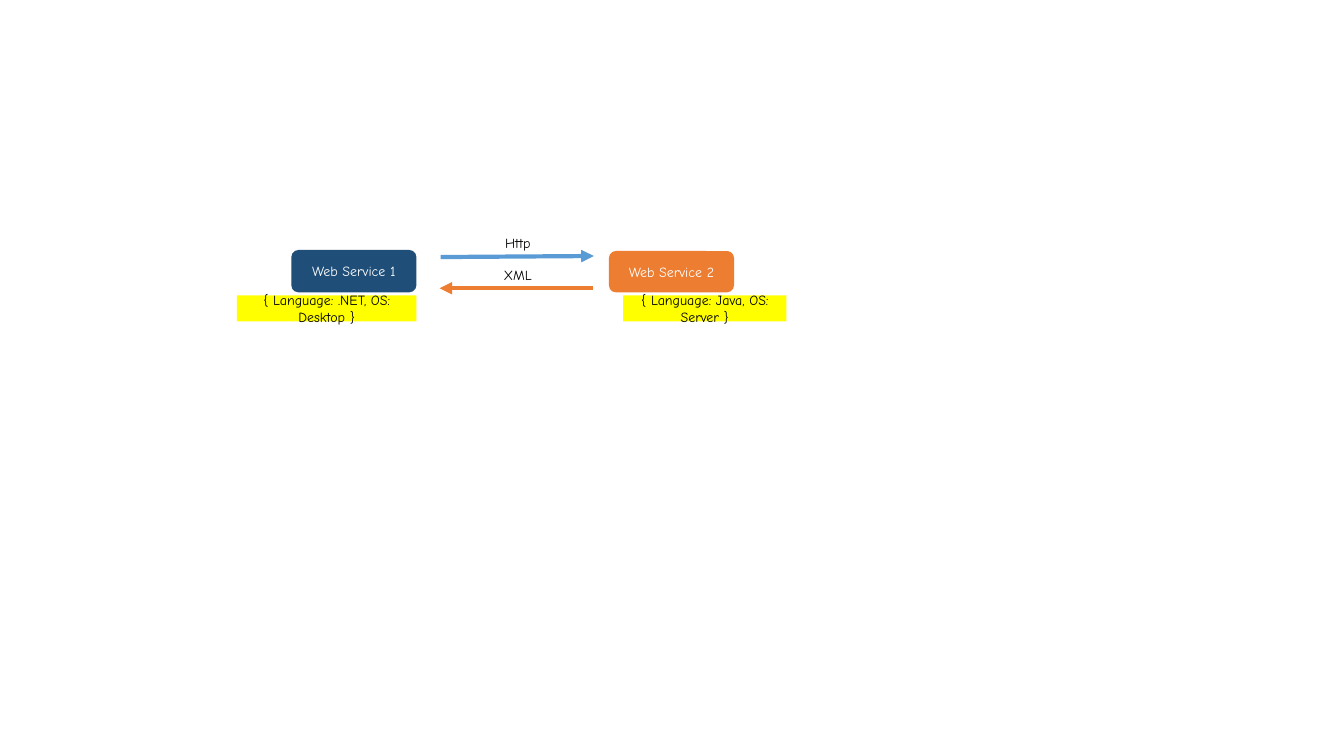
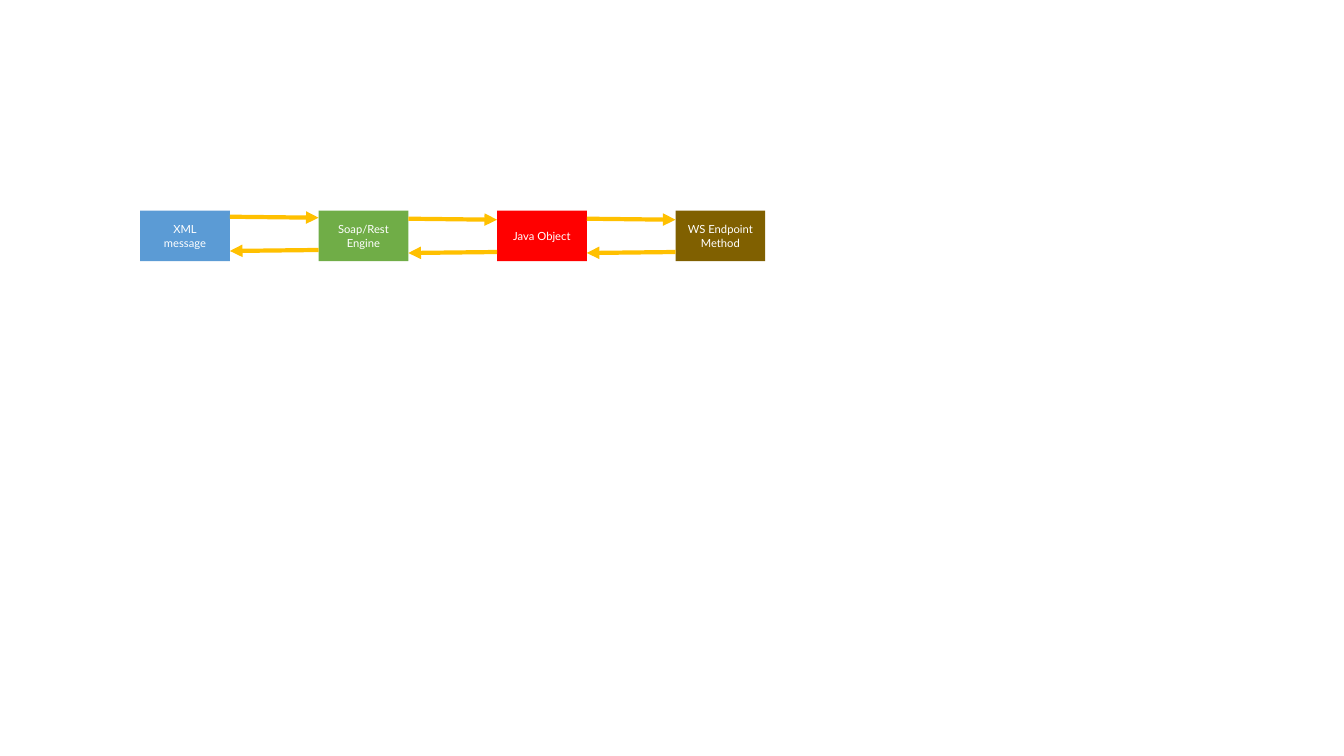
from lxml import etree
from pptx import Presentation
from pptx.dml.color import RGBColor
from pptx.enum.shapes import MSO_CONNECTOR as Connector, MSO_SHAPE as Shape
from pptx.enum.text import MSO_ANCHOR as Anchor, PP_ALIGN as Align
from pptx.oxml.ns import qn
from pptx.util import Inches, Pt

BLACK, WHITE = "000000", "FFFFFF"
BLUE, NAVY, ORANGE = "5B9BD5", "1F4E79", "ED7D31"
YELLOW, AMBER = "FFFF00", "FFC000"
GREEN, RED, BROWN = "70AD47", "FF0000", "806000"


def rgb(value):
    return RGBColor.from_string(value)


class Diagram:
    """Draws on the current slide in that slide's font and text size."""

    def __init__(self, deck):
        self.deck = deck

    def new_slide(self, font, size):
        self.slide = self.deck.slides.add_slide(self.deck.slide_layouts[6])
        self.font, self.size = font, size

    def set_text(self, holder, text, color, anchor):
        frame = holder.text_frame
        frame.text = text
        frame.word_wrap = True
        frame.vertical_anchor = anchor
        for paragraph in frame.paragraphs:
            paragraph.alignment = Align.CENTER
            for run in paragraph.runs:
                run.font.name = self.font
                run.font.size = Pt(self.size)
                run.font.color.rgb = rgb(color)

    def box(self, bounds, text, fill, color=WHITE, kind=Shape.RECTANGLE):
        box = self.slide.shapes.add_shape(kind, *map(Inches, bounds))
        box.shadow.inherit = False
        box.fill.solid()
        box.fill.fore_color.rgb = rgb(fill)
        box.line.fill.background()
        self.set_text(box, text, color, Anchor.MIDDLE)

    def label(self, bounds, text):
        label = self.slide.shapes.add_textbox(*map(Inches, bounds))
        self.set_text(label, text, BLACK, Anchor.TOP)

    def arrow(self, start, end, color):
        arrow = self.slide.shapes.add_connector(
            Connector.STRAIGHT, *map(Inches, (*start, *end)))
        arrow.line.color.rgb = rgb(color)
        arrow.line.width = Pt(3)
        properties = arrow._element.spPr
        etree.SubElement(properties.get_or_add_ln(), qn("a:tailEnd"),
                         type="triangle")
        etree.SubElement(properties, qn("a:effectLst"))


def web_services(diagram):
    diagram.new_slide("Comic Neue", 10)

    # The two services
    diagram.box((2.89, 2.48, 1.24, 0.42), "Web Service 1", NAVY,
                kind=Shape.ROUNDED_RECTANGLE)
    diagram.box((6.04, 2.49, 1.24, 0.41), "Web Service 2", ORANGE,
                kind=Shape.ROUNDED_RECTANGLE)

    # Messages between them
    for start, end, color, label_top, protocol in (
            ((4.37, 2.55), (5.89, 2.54), BLUE, 2.28, "Http"),
            ((5.88, 2.86), (4.36, 2.86), ORANGE, 2.59, "XML")):
        diagram.arrow(start, end, color)
        diagram.label((4.66, label_top, 0.95, 0.26), protocol)

    # Platform of each service
    for left, width, platform in (
            (6.18, 1.62, "{ Language: Java, OS: Server }"),
            (2.35, 1.78, "{ Language: .NET, OS: Desktop }")):
        diagram.box((left, 2.93, width, 0.26), platform, YELLOW, BLACK)


def message_flow(diagram):
    diagram.new_slide("Lato", 8)
    left, top, width, height, step = 1.39, 2.09, 0.89, 0.5, 1.77

    # Processing stages
    stages = (("XML\nmessage", BLUE), ("Soap/Rest\nEngine", GREEN),
              ("Java Object", RED), ("WS Endpoint Method", BROWN))
    for i, (stage, fill) in enumerate(stages):
        diagram.box((left + i * step, top, width, height), stage, fill)

    # Request and response between neighbouring stages
    for i, request_y in enumerate((2.15, 2.17, 2.17)):
        near, far = left + i * step + width, left + (i + 1) * step
        response_y = request_y + 0.33
        diagram.arrow((near, request_y), (far, request_y + 0.01), AMBER)
        diagram.arrow((far, response_y), (near, response_y + 0.01), AMBER)


def main():
    deck = Presentation()
    deck.slide_width, deck.slide_height = Inches(13.33), Inches(7.5)
    diagram = Diagram(deck)
    web_services(diagram)
    message_flow(diagram)
    deck.save("out.pptx")


if __name__ == "__main__":
    main()
